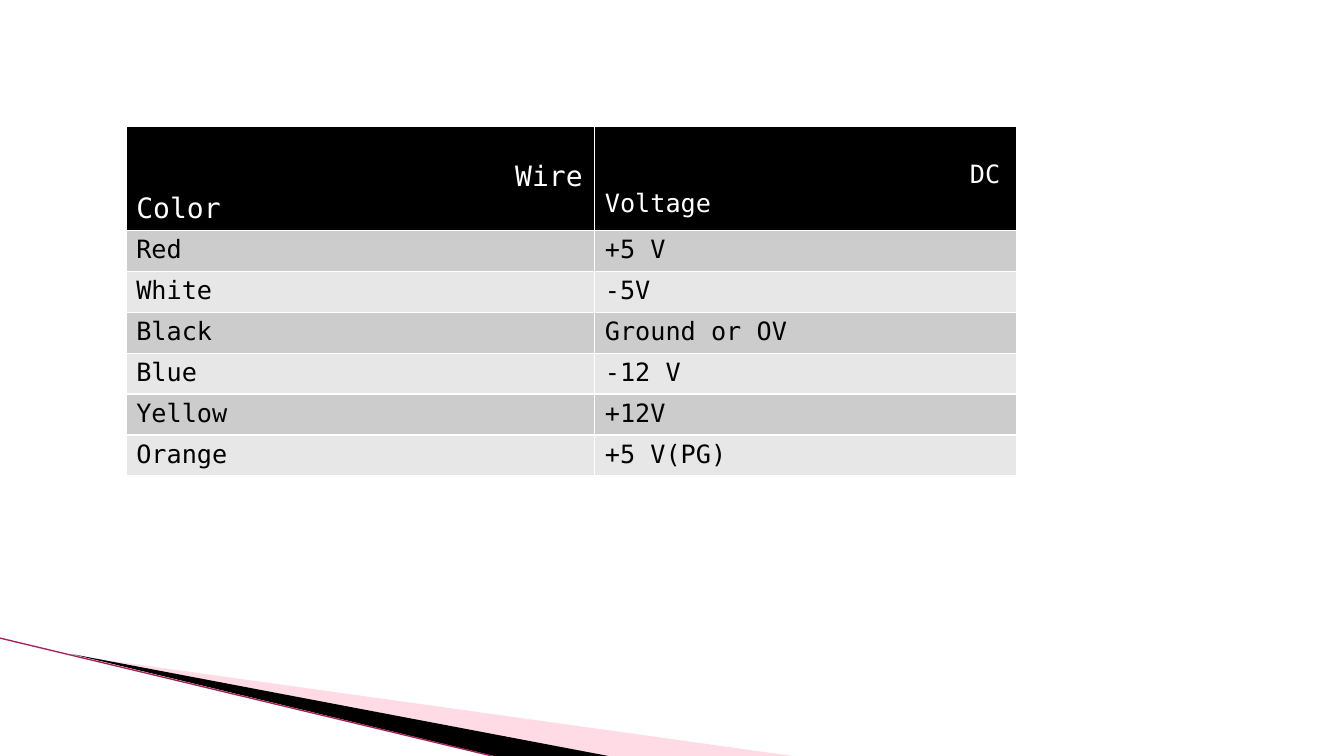
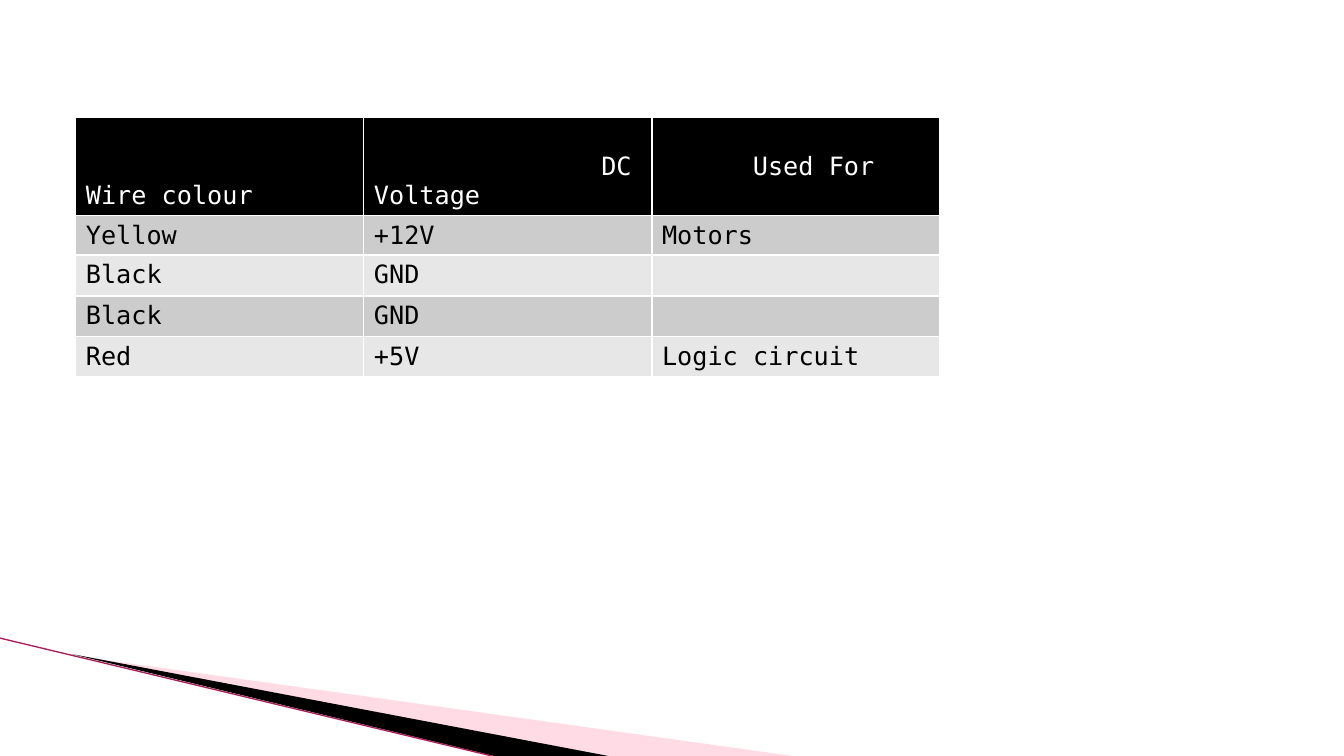
"""Build two slides of power connector wire tables over a shared wedge motif."""
from lxml.etree import SubElement
from pptx import Presentation
from pptx.dml.color import RGBColor
from pptx.enum.shapes import MSO_CONNECTOR
from pptx.oxml.ns import qn
from pptx.util import Cm, Pt

FONT = "DejaVu Sans Mono"
BLACK = RGBColor(0x00, 0x00, 0x00)
WHITE = RGBColor(0xFF, 0xFF, 0xFF)
PINK = RGBColor(0xFF, 0xA5, 0xBF)
MAGENTA = RGBColor(0xA8, 0x20, 0x5A)
BANDS = [RGBColor(0xE7, 0xE7, 0xE7), RGBColor(0xCC, 0xCC, 0xCC)]

WEDGES = [
    (PINK, 40, [(1.85, 16.52), (19.97, 19.05), (15.3, 19.05)]),
    (BLACK, 100, [(1.8, 16.48), (15.33, 19.05), (12.45, 19.05)]),
]

# Header entries: text, size, first-line indent and top margin in cm.
TABLES = [
    {
        "place": (3.18, 3.18),
        "widths": [11.81, 10.64],
        "heights": (2.6, 1.03),
        "header": [("Wire Color", 20, 9.55, 0.86), ("DC Voltage", 18, 9.2, 0.86)],
        "rows": [
            ("Red", "+5 V"),
            ("White", "-5V"),
            ("Black", "Ground or OV"),
            ("Blue", "-12 V"),
            ("Yellow", "+12V"),
            ("Orange", "+5 V(PG)"),
        ],
    },
    {
        "place": (1.91, 2.97),
        "widths": [7.26] * 3,
        "heights": (2.45, 0.99),
        "header": [
            ("Wire colour", 18, 0, 1.6),
            ("DC Voltage", 18, 5.73, 0.86),
            ("Used For", 18, 2.29, 0.86),
        ],
        "rows": [
            ("Yellow", "+12V", "Motors"),
            ("Black", "GND", ""),
            ("Black", "GND", ""),
            ("Red", "+5V", "Logic circuit"),
        ],
    },
]


def style_cell(cell, text, size, color, fill):
    """Write one cell with white borders and a solid fill."""
    properties = cell._tc.get_or_add_tcPr()
    for side in ("lnL", "lnR", "lnT", "lnB"):
        border = SubElement(properties, qn(f"a:{side}"), w=str(Pt(1)))
        border_fill = SubElement(border, qn("a:solidFill"))
        SubElement(border_fill, qn("a:srgbClr"), val=str(WHITE))
    cell.fill.solid()
    cell.fill.fore_color.rgb = fill
    cell.text_frame.text = text
    for run in cell.text_frame.paragraphs[0].runs:
        run.font.name = FONT
        run.font.size = Pt(size)
        run.font.bold = False
        run.font.color.rgb = color


presentation = Presentation()
presentation.slide_width = Cm(33.87)
presentation.slide_height = Cm(19.05)
blank = presentation.slide_layouts[6]
for placeholder in list(blank.placeholders):
    placeholder._element.getparent().remove(placeholder._element)
slides = [presentation.slides.add_slide(blank) for _ in TABLES]

motif = []
for color, opacity, points in WEDGES:
    start, *others = [(Cm(x), Cm(y)) for x, y in points]
    builder = slides[0].shapes.build_freeform(*start)
    builder.add_line_segments(others, close=True)
    wedge = builder.convert_to_shape()
    wedge.shadow.inherit = False
    wedge.fill.solid()
    wedge.fill.fore_color.rgb = color
    wedge.line.fill.background()
    if opacity < 100:
        tint = wedge._element.spPr.find(f".//{qn('a:srgbClr')}")
        SubElement(tint, qn("a:alpha"), val=str(opacity * 1000))
    motif.append(wedge)

edge = slides[0].shapes.add_connector(
    MSO_CONNECTOR.STRAIGHT, Cm(0), Cm(16.08), Cm(12.4), Cm(19.05)
)
edge.line.color.rgb = MAGENTA
edge.line.width = Pt(0.95)
SubElement(edge._element.spPr, qn("a:effectLst"))
motif.append(edge)

for shape in motif:
    blank.shapes._spTree.append(shape._element)

for slide, data in zip(slides, TABLES):
    header_height, row_height = data["heights"]
    heights = [header_height] + [row_height] * len(data["rows"])
    left, top = data["place"]
    table = slide.shapes.add_table(
        len(heights), len(data["widths"]), Cm(left), Cm(top),
        Cm(sum(data["widths"])), Cm(sum(heights)),
    ).table
    for column, width in zip(table.columns, data["widths"]):
        column.width = Cm(width)
    for row, height in zip(table.rows, heights):
        row.height = Cm(height)
    for index, (text, size, indent, margin) in enumerate(data["header"]):
        cell = table.cell(0, index)
        style_cell(cell, text, size, WHITE, BLACK)
        cell.margin_top = Cm(margin)
        paragraph = cell.text_frame.paragraphs[0]
        paragraph._p.get_or_add_pPr().set("indent", str(Cm(indent)))
    for row_index, texts in enumerate(data["rows"], start=1):
        for index, text in enumerate(texts):
            style_cell(table.cell(row_index, index), text, 18, BLACK, BANDS[row_index % 2])

presentation.save("out.pptx")
